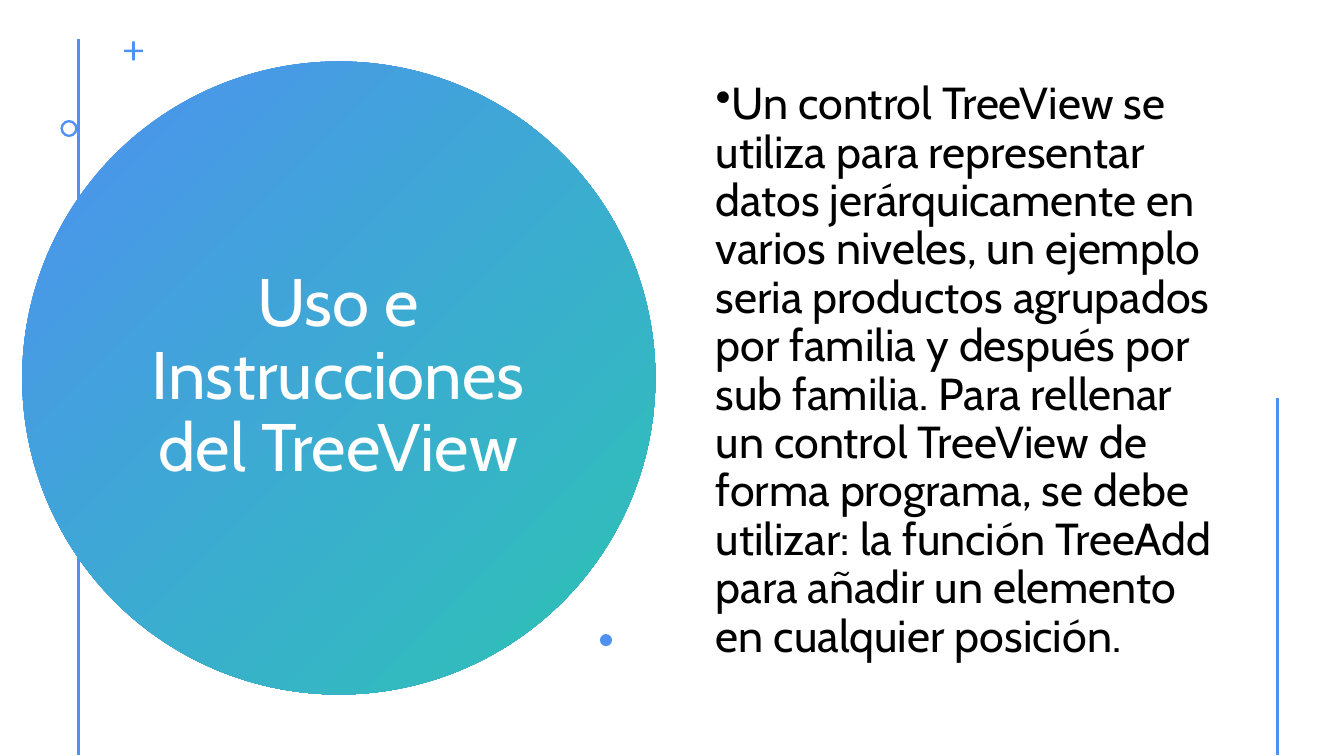
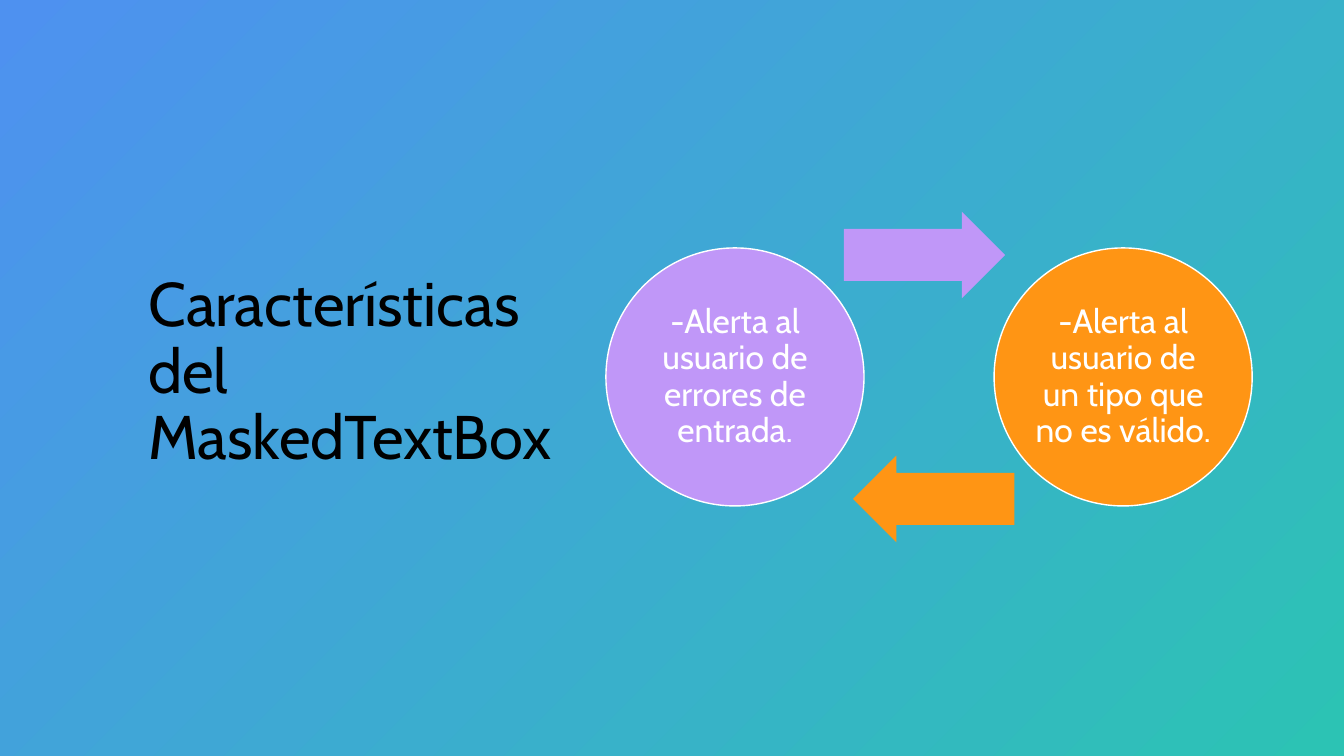
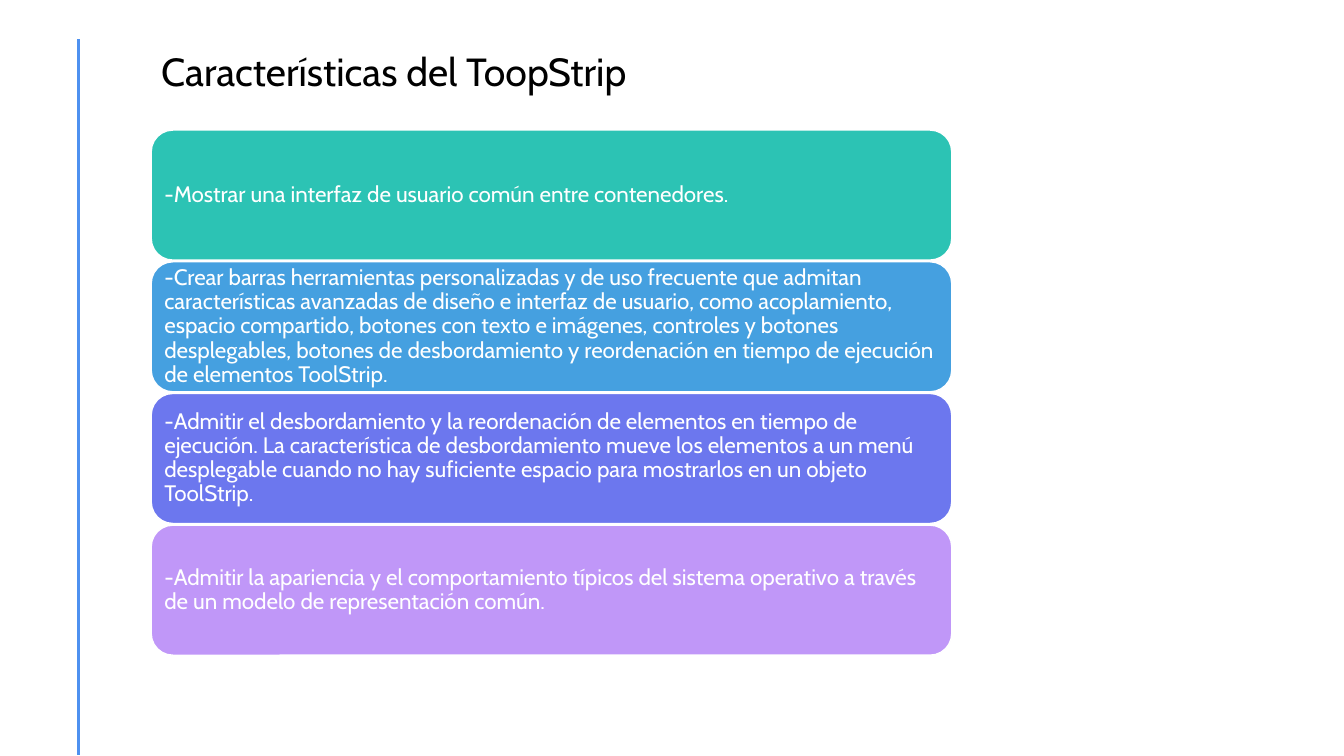
from lxml import etree
from pptx import Presentation
from pptx import util as u
from pptx.dml import color as dc
from pptx.enum import shapes as es, text as et
from pptx.oxml import ns

HUES = {
    "blue": "4E91F0", "teal": "2CC3B4", "sky": "45A0E0", "iris": "6C77EE",
    "lilac": "C097F8", "orange": "FF9514", "white": "FFFFFF", "black": "000000",
}
FONT = "Cabin"
KIND = es.MSO_SHAPE
PAGE = (0, 0, 13.33, 7.5)
RAIL = (0.78, 0.39, 7.49)


def hue(name):
    """Return the named colour."""
    return dc.RGBColor.from_string(HUES[name])


def inch(*nums):
    """Turn numbers into lengths in inches."""
    return [u.Inches(num) for num in nums]


def apply(item, vals):
    """Set each attribute of the item from a dict."""
    for key, val in vals.items():
        setattr(item, key, val)


def form(slide, kind, box, fill, edge=None, adjust=(), turn=0):
    """Add a preset shape with a plain or a two-colour diagonal fill."""
    shape = slide.shapes.add_shape(kind, *inch(*box))
    apply(shape, {"rotation": turn})
    shape.shadow.inherit = False
    for i, val in enumerate(adjust):
        shape.adjustments[i] = val
    if isinstance(fill, tuple):
        shape.fill.gradient()
        shape.fill.gradient_angle = 315
        for stop, name in zip(shape.fill.gradient_stops, fill):
            stop.color.rgb = hue(name)
    else:
        shape.fill.solid()
        shape.fill.fore_color.rgb = hue(fill)
    if edge:
        shape.line.color.rgb = hue(edge)
        shape.line.width = u.Pt(1)
    else:
        shape.line.fill.background()
    return shape


def rule(slide, x, top, end):
    """Add an upright accent line."""
    line = slide.shapes.add_connector(es.MSO_CONNECTOR.STRAIGHT, *inch(x, top, x, end))
    line.line.color.rgb = hue("blue")
    line.line.width = u.Pt(2)
    etree.SubElement(line._element.spPr, ns.qn("a:effectLst"))


def label(slide, box, words, size, tint="black", inset=None, mid=True, **paras):
    """Add wrapped text and return its paragraph."""
    frame = slide.shapes.add_textbox(*inch(*box)).text_frame
    anchor = et.MSO_ANCHOR.MIDDLE if mid else et.MSO_ANCHOR.TOP
    apply(frame, {"word_wrap": True, "vertical_anchor": anchor})
    if inset is not None:
        sides = ("left", "top", "right", "bottom")
        apply(frame, {f"margin_{side}": u.Inches(inset) for side in sides})
    para = frame.paragraphs[0]
    apply(para, {"line_spacing": 0.9, **paras})
    run = para.add_run()
    run.text = words
    apply(run.font, {"name": FONT, "size": u.Pt(size)})
    run.font.color.rgb = hue(tint)
    return para


def disc(slide, box, title):
    """Draw the large title circle with its small ornaments."""
    x, y, w, h = box
    form(slide, KIND.OVAL, box, ("blue", "teal"))
    label(slide, (x + 1.14, y + 0.8, 3.99, 4.67), title, 48, "white",
          alignment=et.PP_ALIGN.CENTER, space_after=u.Pt(6))
    form(slide, KIND.CROSS, (x + 1.01, y - 0.2, 0.19, 0.19), "blue", adjust=[0.43])
    form(slide, KIND.DONUT, (x + 0.38, y + 0.58, 0.17, 0.17), "blue", adjust=[0.14])
    form(slide, KIND.OVAL, (x + 5.73, y + 5.68, 0.12, 0.12), "blue")


def body(slide, box, words):
    """Write a bulleted paragraph."""
    para = label(slide, box, words, 32, space_after=u.Pt(6))
    props = para._p.get_or_add_pPr()
    apply_xml = {"marL": 0, "indent": u.Inches(-0.25)}
    for key, val in apply_xml.items():
        props.set(key, str(val))
    etree.SubElement(props, ns.qn("a:buChar")).set("char", "\u2022")


def cycle(slide, box, items):
    """Draw two circles joined by a pair of opposed arrows."""
    x, y, w, h = box
    size, pad, long, tall = 2.56, 0.37, 1.6, 0.86
    top = y + (h - size) / 2
    spots = ((x, x + 2.36, y, 0),
             (x + w - size, x + w - 2.36 - long, y + h - tall, 180))
    for (left, tip, level, turn), (words, fill) in zip(spots, items):
        form(slide, KIND.OVAL, (left, top, size, size), fill, "white")
        inner = size - 2 * pad
        label(slide, (left + pad, top + pad, inner, inner), words, 24, "white",
              0.03, alignment=et.PP_ALIGN.CENTER)
        form(slide, KIND.RIGHT_ARROW, (tip, level, long, tall), fill,
             adjust=[0.6, 0.5], turn=turn)


def stack(slide, box, items):
    """Stack rounded bars evenly down the box."""
    x, y, w, h = box
    tall, pad = 1.29, 0.06
    step = (h - tall) / (len(items) - 1)
    for i, (words, fill) in enumerate(items):
        top = y + i * step
        form(slide, KIND.ROUNDED_RECTANGLE, (x, top, w, tall), fill, "white")
        label(slide, (x + pad, top + pad, w - 2 * pad, tall - 2 * pad),
              words, 16, "white", 0.07)


deck = Presentation()
apply(deck, dict(zip(("slide_width", "slide_height"), inch(*PAGE[2:]))))
usage, mask, strip = [deck.slides.add_slide(deck.slide_layouts[6]) for _ in range(3)]

rule(usage, *RAIL)
disc(usage, (0.22, 0.61, 6.28, 6.28), "Uso e Instrucciones del TreeView")
body(usage, (7, 0.42, 5.12, 6.53),
     "Un control TreeView se utiliza para representar datos jerárquicamente en "
     "varios niveles, un ejemplo seria productos agrupados por familia y después "
     "por sub familia. Para rellenar un control TreeView de forma programa, se debe "
     "utilizar: la función TreeAdd para añadir un elemento en cualquier posición.")
rule(usage, 12.67, 3.95, 7.49)

form(mask, KIND.RECTANGLE, PAGE, ("blue", "teal"))
label(mask, (1.37, 0.65, 4.31, 6.11), "Características del MaskedTextBox", 44,
      space_after=u.Pt(6))
cycle(mask, (6.01, 2.1, 6.41, 3.28), (
    ("-Alerta al usuario de errores de entrada.", "lilac"),
    ("-Alerta al usuario de un tipo que no es válido.", "orange"),
))

rule(strip, *RAIL)
label(strip, (1.5, 0.42, 4.84, 0.57), "Características del ToopStrip", 28,
      mid=False, line_spacing=1.0)
stack(strip, (1.5, 1.29, 7.94, 5.21), (
    ("-Mostrar una interfaz de usuario común entre contenedores.", "teal"),
    ("-Crear barras herramientas personalizadas y de uso frecuente que admitan "
     "características avanzadas de diseño e interfaz de usuario, como acoplamiento, "
     "espacio compartido, botones con texto e imágenes, controles y botones "
     "desplegables, botones de desbordamiento y reordenación en tiempo de ejecución "
     "de elementos ToolStrip.", "sky"),
    ("-Admitir el desbordamiento y la reordenación de elementos en tiempo de "
     "ejecución. La característica de desbordamiento mueve los elementos a un menú "
     "desplegable cuando no hay suficiente espacio para mostrarlos en un objeto "
     "ToolStrip.", "iris"),
    ("-Admitir la apariencia y el comportamiento típicos del sistema operativo a "
     "través de un modelo de representación común.", "lilac"),
))

deck.save("out.pptx")
